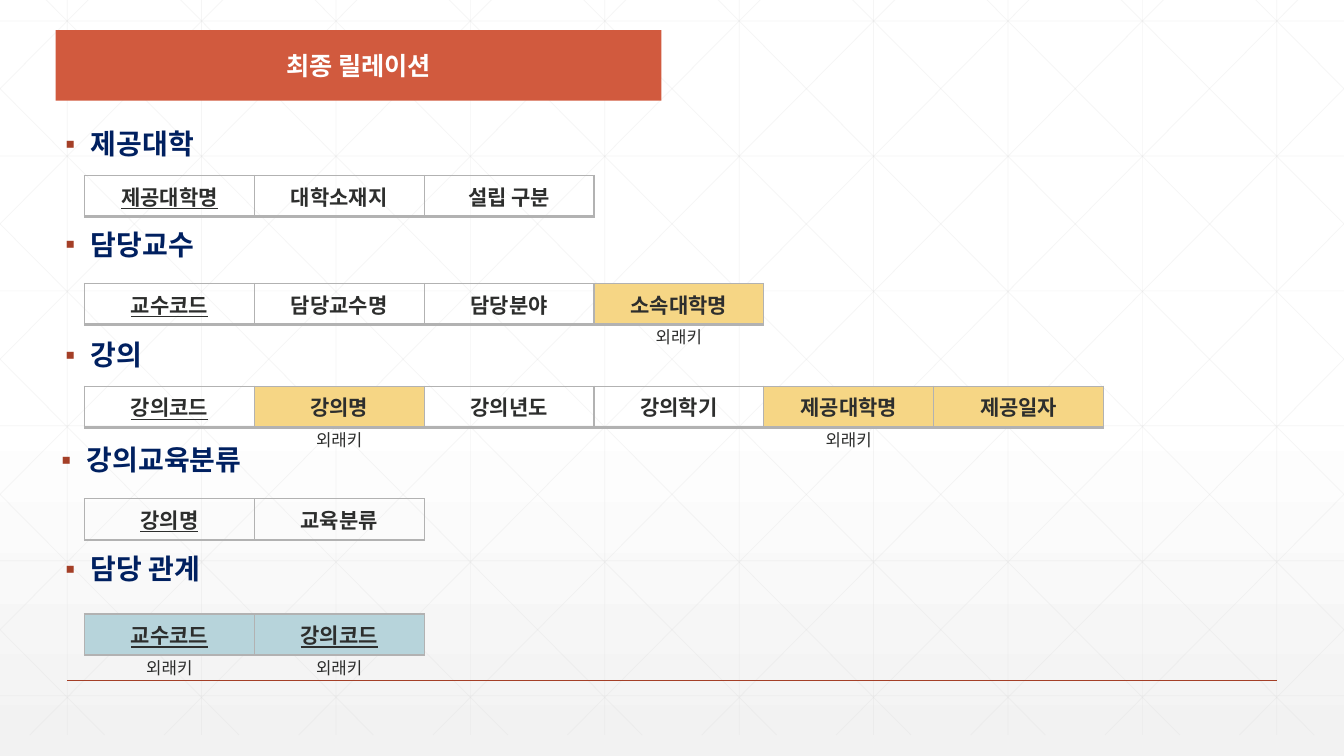
from lxml import etree
from pptx import Presentation
from pptx import util as u
from pptx.dml.color import RGBColor
from pptx.enum import shapes, text
from pptx.oxml import ns

HUES = {"white": "FFFFFF", "fog": "F2F2F2", "grid": "D9D9D9", "rust": "A43F27",
        "brick": "D15A3E", "navy": "002060", "ink": "2D2E2D", "edge": "B2B2B2",
        "gold": "F6D685", "teal": "B7D4DB"}
SANS = "Noto Sans CJK KR"
WIDE, HIGH = 33.87, 19.05
COL, ROW = 4.28, 1.04
KEY, TAG = "key", "tag"
TABLES = [
    ("제공대학", 1.4, 3.28, 4.42,
     [("제공대학명", KEY), ("대학소재지",), ("설립 구분",)]),
    ("담당교수", 1.4, 5.82, 7.14,
     [("교수코드", KEY), ("담당교수명",), ("담당분야",), ("소속대학명", "gold", TAG)]),
    ("강의", 1.4, 8.61, 9.73,
     [("강의코드", KEY), ("강의명", "gold", TAG), ("강의년도",), ("강의학기",),
      ("제공대학명", "gold", TAG), ("제공일자", "gold")]),
    ("강의교육분류", 1.3, 11.25, 12.57,
     [("강의명", KEY), ("교육분류",)]),
    ("담당 관계", 1.4, 14.0, 15.47,
     [("교수코드", KEY, "teal", TAG), ("강의코드", KEY, "teal", TAG)]),
]


def hue(name):
    """Return the named colour."""
    return RGBColor.from_string(HUES[name])


def sub(node, tag, **attrs):
    """Append a DrawingML child and return it."""
    return etree.SubElement(node, ns.qn("a:" + tag), attrs)


def rule(slide, x1, y1, x2, y2, tint, width, alpha=None):
    """Draw a straight line, see-through when alpha is given."""
    line = slide.shapes.add_connector(shapes.MSO_CONNECTOR.STRAIGHT,
                                      u.Cm(x1), u.Cm(y1), u.Cm(x2), u.Cm(y2))
    line.line.color.rgb = hue(tint)
    line.line.width = u.Pt(width)
    props = line._element.spPr
    sub(props, "effectLst")
    if alpha:
        sub(props.find(".//" + ns.qn("a:srgbClr")), "alpha", val=str(alpha * 1000))


def write(para, words, size, tint, face=SANS, bold=False, under=False):
    """Add one styled run to a paragraph."""
    run = para.add_run()
    run.text = words
    font = run.font
    font.size, font.name, font.bold, font.underline = u.Pt(size), face, bold, under
    font.color.rgb = hue(tint)
    sub(run._r.get_or_add_rPr(), "ea", typeface=SANS)


def frame(slide, x, y, w, h):
    """Add a wrapping text box and return its text frame."""
    box = slide.shapes.add_textbox(u.Cm(x), u.Cm(y), u.Cm(w), u.Cm(h))
    box.text_frame.word_wrap = True
    return box.text_frame


def label(slide, x, y, w, h, words, size, tint, bold=False):
    """Add a centred line of text in a box that grows."""
    body = frame(slide, x, y, w, h)
    body.auto_size = text.MSO_AUTO_SIZE.SHAPE_TO_FIT_TEXT
    para = body.paragraphs[0]
    para.alignment = text.PP_ALIGN.CENTER
    write(para, words, size, tint, bold=bold)


def backdrop(slide, w, h):
    """Paint the gradient, the faint lattice and the foot line."""
    fill = slide.background.fill
    fill.gradient()
    fill.gradient_angle = 270
    for stop, tint, place in zip(fill.gradient_stops, ("white", "fog"), (0.53, 1)):
        stop.color.rgb = hue(tint)
        stop.position = place
    top, tall, step, run = -0.53, h, w / 10, 18.93
    lines = [(step * (i + 0.5), top, step * (i + 0.5), top + tall) for i in range(10)]
    lines += [(0, 0.53 + 3.4 * i, w, 0.53 + 3.4 * i) for i in range(6)]
    for i in range(-5, 10):
        start = 0.64 + step * i
        left, right = max(start, 0), min(start + run, w)
        y1, y2 = (top + (x - start) * tall / run for x in (left, right))
        lines += [(left, y1, right, y2), (w - left, y1, w - right, y2)]
    for ends in lines:
        rule(slide, *ends, "grid", 0.5, 25)
    rule(slide, step / 2, 17.15, w - step / 2, 17.15, "rust", 1)


def banner(slide, x, y, w, h, words):
    """Draw the title bar with its text."""
    bar = slide.shapes.add_shape(shapes.MSO_SHAPE.RECTANGLE,
                                 u.Cm(x), u.Cm(y), u.Cm(w), u.Cm(h))
    bar.shadow.inherit = False
    bar.fill.solid()
    bar.fill.fore_color.rgb = hue("brick")
    bar.line.fill.background()
    label(slide, x, y + 0.38, w, 1.02, words, 18, "white", True)


def heading(slide, x, y, w, h, words):
    """Add a bulleted heading."""
    body = frame(slide, x, y, w, h)
    body.margin_top = 0
    para = body.paragraphs[0]
    props = para._p.get_or_add_pPr()
    props.set("marL", str(u.Cm(0.635)))
    props.set("indent", str(u.Cm(-0.635)))
    sub(sub(props, "buClr"), "srgbClr", val=HUES["rust"])
    sub(props, "buFont", typeface="Arial")
    sub(props, "buChar", char="▪")
    para.line_spacing = 0.9
    write(para, words, 20, "navy", bold=True)


def border(cell):
    """Edge a cell in grey, thicker below."""
    props = cell._tc.get_or_add_tcPr()
    for i, (side, width) in enumerate((("L", 1), ("R", 1), ("T", 1), ("B", 2))):
        edge = etree.Element(ns.qn("a:ln" + side), w=str(u.Pt(width)))
        sub(sub(edge, "solidFill"), "srgbClr", val=HUES["edge"])
        props.insert(i, edge)


def relation(slide, x, y, cells):
    """Draw a one-row table with foreign-key labels below it."""
    grid = slide.shapes.add_table(1, len(cells), u.Cm(x), u.Cm(y),
                                  u.Cm(COL * len(cells)), u.Cm(ROW)).table
    grid.first_row = grid.horz_banding = False
    for i, (words, *marks) in enumerate(cells):
        cell = grid.cell(0, i)
        cell.vertical_anchor = text.MSO_ANCHOR.MIDDLE
        tint = next((m for m in marks if m in HUES), None)
        if tint:
            cell.fill.solid()
            cell.fill.fore_color.rgb = hue(tint)
        else:
            cell.fill.background()
        border(cell)
        para = cell.text_frame.paragraphs[0]
        para.alignment = text.PP_ALIGN.CENTER
        write(para, words, 15, "ink", "Arial", True, KEY in marks)
        if TAG in marks:
            label(slide, x + COL * (i + 0.5) - 1.1, y + 0.97, 2.2, 0.77,
                  "외래키", 12, "ink")


def main():
    """Build and save the slide."""
    deck = Presentation()
    deck.slide_width, deck.slide_height = u.Cm(WIDE), u.Cm(HIGH)
    slide = deck.slides.add_slide(deck.slide_layouts[6])
    backdrop(slide, WIDE, HIGH)
    banner(slide, 1.4, 0.76, 15.27, 1.78, "최종 릴레이션")
    for name, x, y, low, cells in TABLES:
        heading(slide, x, y, 30.71, ROW, name)
        relation(slide, 2.13, low, cells)
    deck.save("out.pptx")


if __name__ == "__main__":
    main()
